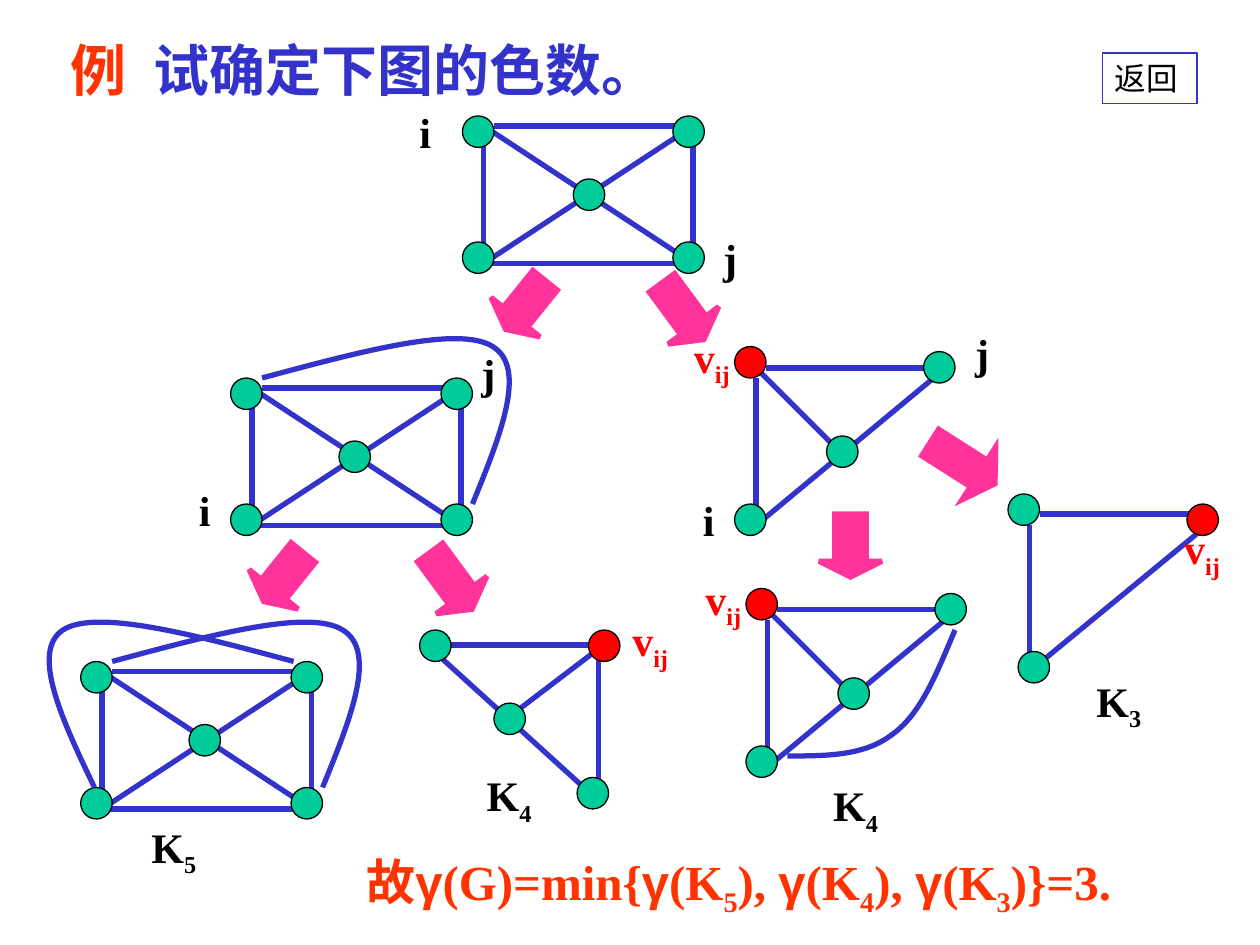
from lxml import etree
from pptx import Presentation
from pptx.dml.color import RGBColor
from pptx.enum import shapes, text
from pptx.oxml.ns import qn
from pptx.util import Inches, Pt

BLUE, GREEN, RED = "3333CC", "00CC99", "FF0000"
PINK, ORANGE, BLACK = "FF3399", "FF3300", "000000"
SERIF = "Times New Roman"


def color(code):
    return RGBColor.from_string(code)


def stroke(item, code, width):
    item.line.color.rgb = color(code)
    item.line.width = Pt(width)


def run(para, words, size, code, font=SERIF, bold=True, sub=False):
    part = para.add_run()
    part.text = words
    part.font.size = Pt(size)
    part.font.name = font
    part.font.bold = bold
    part.font.color.rgb = color(code)
    if sub:
        part.font._element.set("baseline", "-25000")


def label(host, box, main, sub="", code=BLACK, mid=True):
    """Add a letter with an optional subscript, centred if mid is true."""
    frame = host.add_textbox(*map(Inches, box)).text_frame
    frame.word_wrap = not mid
    para = frame.paragraphs[0]
    if mid:
        frame.vertical_anchor = text.MSO_ANCHOR.MIDDLE
        para.alignment = text.PP_ALIGN.CENTER
    run(para, main, 24, code)
    if sub:
        run(para, sub, 24, code, sub=True)


def letter(host, x, y, name):
    label(host, (x, y, 0.41, 0.25), name)


def merged(host, x, y):
    label(host, (x, y, 0.67, 0.56), "v", "ij", RED, mid=False)


def clique(host, x, y, count):
    label(host, (x, y, 0.7, 0.33), "K", count)


def node(host, x, y, code=GREEN):
    dot = host.add_shape(shapes.MSO_SHAPE.OVAL, Inches(x), Inches(y),
                         Inches(0.25), Inches(0.25))
    dot.shadow.inherit = False
    dot.fill.solid()
    dot.fill.fore_color.rgb = color(code)
    stroke(dot, BLACK, 0.75)


def edge(host, x1, y1, x2, y2):
    line = host.add_connector(shapes.MSO_CONNECTOR.STRAIGHT,
                              *map(Inches, (x1, y1, x2, y2)))
    stroke(line, BLUE, 3)
    etree.SubElement(line._element.spPr, qn("a:effectLst"))


def outline(host, points, x=0, y=0):
    """Draw an open path through points, moved by x and y."""
    spots = [(Inches(x + px), Inches(y + py)) for px, py in points]
    pen = host.build_freeform(*spots[0])
    pen.add_line_segments(spots[1:], close=False)
    form = pen.convert_to_shape()
    form.shadow.inherit = False
    form.fill.background()
    stroke(form, BLUE, 3)
    return form


def curve(host, points, x=0, y=0):
    """Draw Bezier arcs: a start, then two controls and an end for each arc."""
    form = outline(host, points, x, y)
    track = next(form._element.iter(qn("a:path")))
    steps = track.findall(qn("a:lnTo"))
    for i in range(0, len(steps), 3):
        arc = etree.SubElement(track, qn("a:cubicBezTo"))
        for step in steps[i:i + 3]:
            arc.append(step[0])
            track.remove(step)


def arrow(host, x, y, height, turn):
    item = host.add_shape(shapes.MSO_SHAPE.DOWN_ARROW, Inches(x), Inches(y),
                          Inches(0.5), Inches(height))
    item.shadow.inherit = False
    item.adjustments[1] = height / 2
    item.rotation = turn
    item.fill.solid()
    item.fill.fore_color.rgb = color(PINK)
    stroke(item, PINK, 3)
    pen = item._element.spPr.find(qn("a:ln"))
    etree.SubElement(pen, qn("a:miter"), lim="800000")


def wheel(host, x, y, hub=0.86, arc=False):
    """Draw four corners around a hub, with an outer arc on request."""
    outline(host, [(0.17, 0.17), (0.17, 1.17), (1.83, 1.17),
                   (1.83, 0.08), (0.25, 0.08)], x, y)
    edge(host, x + 0.17, y + 0.08, x + 1.83, y + 1.17)
    edge(host, x + 1.83, y + 0.08, x + 0.17, y + 1.17)
    for dx, dy in [(0, 0), (1.67, 0), (0, 1), (1.67, 1), (hub, 0.5)]:
        node(host, x + dx, y + dy)
    if arc:
        curve(host, [(0.25, 0), (1.03, -0.21), (1.81, -0.42), (2.08, -0.25),
                     (2.36, -0.08), (2.14, 0.46), (1.92, 1)], x, y)


def fan(host, x, y):
    """Draw a triangle with a hub and a merged top left vertex."""
    for x1, y1, x2, y2 in [(0.17, 0.25, 0.17, 1.42), (0.25, 0.17, 1.58, 0.17),
                           (0.17, 1.42, 1.58, 0.25), (0.08, 0.08, 0.83, 0.83)]:
        edge(host, x + x1, y + y1, x + x2, y + y2)
    merged(host, x - 0.42, y - 0.17)
    for dx, dy in [(1.5, 0.04), (0.73, 0.71), (0, 1.25)]:
        node(host, x + dx, y + dy)
    node(host, x, y, RED)


def title(slide):
    head = slide.shapes.title
    head.left, head.top = Inches(0.46), Inches(0.23)
    head.width, head.height = Inches(8), Inches(0.64)
    frame = head.text_frame
    frame.vertical_anchor = text.MSO_ANCHOR.TOP
    frame.auto_size = text.MSO_AUTO_SIZE.NONE
    para = frame.paragraphs[0]
    para.alignment = text.PP_ALIGN.LEFT
    tabs = etree.SubElement(para._p.get_or_add_pPr(), qn("a:tabLst"))
    etree.SubElement(tabs, qn("a:tab"), pos=str(Inches(0.66)), algn="l")
    run(para, "例\t", 32, ORANGE)
    run(para, "试确定下图的色数。", 32, BLUE)


def result(host):
    frame = host.add_textbox(*map(Inches, (2.81, 6.71, 6.6, 0.61))).text_frame
    frame.word_wrap = True
    para = frame.paragraphs[0]
    run(para, "故", 28, ORANGE)
    run(para, "γ", 28, ORANGE, "Arial")
    run(para, "(G)=min{", 28, ORANGE)
    for count, tail in [("5", "), "), ("4", "), "), ("3", ")}=3.")]:
        run(para, "γ", 28, ORANGE, "Arial")
        run(para, "(K", 28, ORANGE)
        run(para, count, 28, ORANGE, sub=True)
        run(para, tail, 28, ORANGE)


def button(host):
    item = host.add_shape(shapes.MSO_SHAPE.RECTANGLE,
                          *map(Inches, (8.75, 0.42, 0.75, 0.4)))
    item.shadow.inherit = False
    item.fill.background()
    stroke(item, BLUE, 0.75)
    frame = item.text_frame
    frame.vertical_anchor = text.MSO_ANCHOR.TOP
    para = frame.paragraphs[0]
    para.alignment = text.PP_ALIGN.LEFT
    run(para, "返回", 18, BLACK, bold=False)


def main():
    deck = Presentation()
    deck.slide_width, deck.slide_height = Inches(10), Inches(7.5)
    slide = deck.slides.add_slide(deck.slide_layouts[5])
    host = slide.shapes
    title(slide)
    result(host)
    five, left, top, right, three, four, small = (
        host.add_group_shape().shapes for _ in range(7))

    clique(five, 1.03, 6.58, "5")
    wheel(five, 0.64, 5.25, arc=True)
    curve(five, [(2.33, 5.25), (1.55, 5.04), (0.76, 4.83), (0.5, 5),
                 (0.24, 5.17), (0.49, 5.71), (0.75, 6.25)])

    letter(left, 1.42, 3.92, "i")
    letter(left, 3.67, 2.83, "j")
    wheel(left, 1.83, 3, arc=True)

    letter(top, 3.17, 0.92, "i")
    letter(top, 5.59, 1.92, "j")
    wheel(top, 3.67, 0.92, hub=0.88)

    fan(right, 5.83, 2.75)
    letter(right, 5.42, 4, "i")
    letter(right, 7.59, 2.67, "j")

    for ends in [(8.17, 4.17, 8.17, 5.33), (8.25, 4.08, 9.58, 4.08),
                 (8.17, 5.33, 9.58, 4.17)]:
        edge(three, *ends)
    node(three, 8, 3.92)
    node(three, 8.08, 5.17)
    node(three, 9.42, 4, RED)
    label(three, (9.25, 4.25, 0.58, 0.25), "v", "ij", RED)
    clique(three, 8.53, 5.42, "3")

    fan(four, 5.92, 4.67)
    curve(four, [(7.58, 5), (7.44, 5.33), (7.31, 5.67), (7.08, 5.83),
                 (6.86, 6), (6.56, 6), (6.25, 6)])
    clique(four, 6.44, 6.25, "4")

    merged(small, 4.92, 4.83)
    for ends in [(4.69, 5.12, 3.38, 5.12), (3.39, 5.12, 4.7, 6.31),
                 (4.88, 5.05, 4.04, 5.69), (4.75, 5.17, 4.75, 6.25)]:
        edge(small, *ends)
    for x, y in [(4.58, 6.17), (3.33, 5), (3.92, 5.58)]:
        node(small, x, y)
    node(small, 4.67, 5, RED)
    clique(small, 3.69, 6.17, "4")

    for place in [(3.92, 2.17, 0.5, 38.9), (5.17, 2.19, 0.56, 323.6),
                  (6.5, 4.08, 0.5, 0), (2, 4.33, 0.5, 38.9),
                  (7.39, 3.37, 0.61, 302.5), (3.33, 4.33, 0.56, 323.6)]:
        arrow(host, *place)
    button(host)
    deck.save("out.pptx")


if __name__ == "__main__":
    main()
